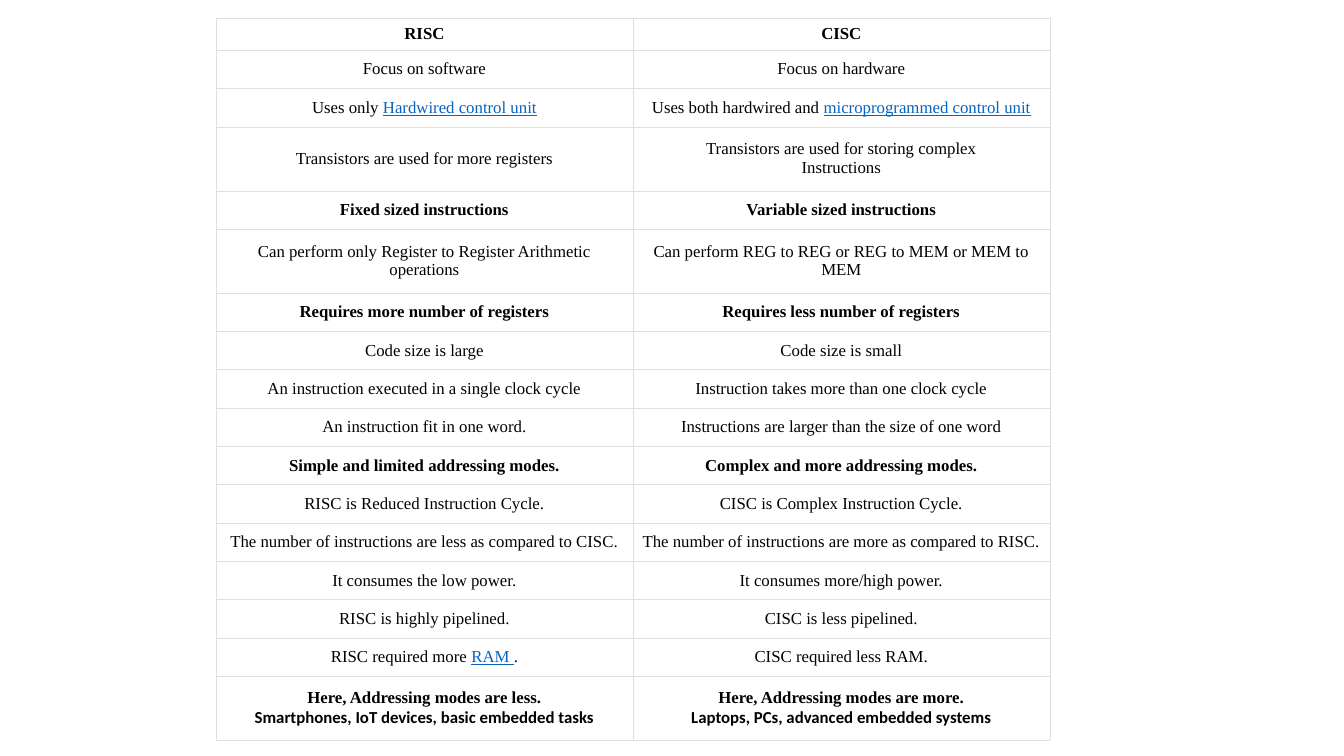
"""Build a slide with a table that compares RISC and CISC."""
from dataclasses import dataclass

from lxml.etree import SubElement
from pptx import Presentation
from pptx.dml.color import RGBColor
from pptx.enum.text import MSO_ANCHOR, PP_ALIGN
from pptx.oxml.ns import qn
from pptx.table import _Cell
from pptx.text.text import _Paragraph
from pptx.util import Pt

MIDDLE = MSO_ANCHOR.MIDDLE
CENTER = PP_ALIGN.CENTER
BLACK = RGBColor(0x00, 0x00, 0x00)
WHITE = RGBColor(0xFF, 0xFF, 0xFF)
BLUE = RGBColor(0x05, 0x63, 0xC1)
GREY = RGBColor(0xDF, 0xDF, 0xDF)
FONTS = ("Times New Roman", "Calibri")
SIZE = Pt(12)
LINE = Pt(0.18)
LEFT, TOP, WIDTH = Pt(154.3), Pt(13.1), Pt(297.8)
HEAD, LOW, TALL = Pt(22.6), Pt(27.4), Pt(45.7)


@dataclass
class Row:
    """Hold one row; brackets mark a link, \\n a paragraph, \\v a line break."""
    risc: str
    cisc: str
    bold: bool = False
    high: int = LOW
    pad: int = Pt(5)


ROWS = [
    Row("RISC", "CISC", True, HEAD, Pt(3.6)),
    Row("Focus on software", "Focus on hardware"),
    Row("Uses only [Hardwired control unit]",
        "Uses both hardwired and [microprogrammed control unit]"),
    Row("Transistors are used for more registers",
        "Transistors are used for storing complex\vInstructions", high=TALL),
    Row("Fixed sized instructions", "Variable sized instructions", True),
    Row("Can perform only Register to Register Arithmetic operations",
        "Can perform REG to REG or REG to MEM or MEM to MEM", high=TALL),
    Row("Requires more number of registers",
        "Requires less number of registers", True),
    Row("Code size is large", "Code size is small"),
    Row("An instruction executed in a single clock cycle",
        "Instruction takes more than one clock cycle"),
    Row("An instruction fit in one word.",
        "Instructions are larger than the size of one word"),
    Row("Simple and limited addressing modes.",
        "Complex and more addressing modes.", True),
    Row("RISC is Reduced Instruction Cycle.",
        "CISC is Complex Instruction Cycle."),
    Row("The number of instructions are less as compared to CISC.",
        "The number of instructions are more as compared to RISC."),
    Row("It consumes the low power.", "It consumes more/high power."),
    Row("RISC is highly pipelined.", "CISC is less pipelined."),
    Row("RISC required more [RAM ].", "CISC required less RAM."),
    Row("Here, Addressing modes are less.\n"
        "Smartphones, IoT devices, basic embedded tasks",
        "Here, Addressing modes are more.\n"
        "Laptops, PCs, advanced embedded systems", True, TALL),
]


def add_run(para: _Paragraph, text: str, font: str, bold: bool, link: bool) -> None:
    """Add one run of text in its format."""
    run = para.add_run()
    run.text = text
    look = {"name": font, "size": SIZE, "bold": bold, "underline": link}
    for key, value in look.items():
        setattr(run.font, key, value)
    run.font.color.rgb = BLUE if link else BLACK


def add_line(para: _Paragraph, line: str, font: str, bold: bool) -> None:
    """Add one line, with the bracketed part as a link."""
    start, _, rest = line.partition("[")
    link, _, end = rest.partition("]")
    for text, linked in ((start, False), (link, True), (end, False)):
        if text:
            add_run(para, text, font, bold, linked)


def add_break(para: _Paragraph) -> None:
    """Add a line break as tall as the text."""
    para.add_line_break()
    SubElement(para._p[-1], qn("a:rPr"), sz=str(int(SIZE.pt * 100)))


def add_edges(cell: _Cell) -> None:
    """Draw the four borders of a cell."""
    props = cell._tc.get_or_add_tcPr()
    for spot, side in enumerate("LRTB"):
        edge = SubElement(props, qn(f"a:ln{side}"), w=str(LINE))
        fill = SubElement(edge, qn("a:solidFill"))
        SubElement(fill, qn("a:srgbClr"), val=str(GREY))
        props.insert(spot, edge)


def fill_cell(cell: _Cell, text: str, row: Row) -> None:
    """Set the format and text of a cell."""
    look = {
        "vertical_anchor": MIDDLE,
        "margin_left": Pt(3.6),
        "margin_right": Pt(3.6),
        "margin_top": row.pad,
        "margin_bottom": row.pad,
    }
    for key, value in look.items():
        setattr(cell, key, value)
    cell.fill.solid()
    cell.fill.fore_color.rgb = WHITE
    add_edges(cell)
    frame = cell.text_frame
    for spot, (part, font) in enumerate(zip(text.split("\n"), FONTS)):
        para = frame.add_paragraph() if spot else frame.paragraphs[0]
        para.alignment = CENTER
        for count, line in enumerate(part.split("\v")):
            if count:
                add_break(para)
            add_line(para, line, font, row.bold)


def main() -> None:
    """Build and save the slide."""
    deck = Presentation()
    deck.slide_width, deck.slide_height = Pt(960), Pt(540)
    slide = deck.slides.add_slide(deck.slide_layouts[6])
    high = sum(row.high for row in ROWS)
    table = slide.shapes.add_table(len(ROWS), 2, LEFT, TOP, 2 * WIDTH, high).table
    table.first_row = table.horz_banding = False
    for column in table.columns:
        column.width = WIDTH
    for spot, row in enumerate(ROWS):
        table.rows[spot].height = row.high
        for side, text in enumerate((row.risc, row.cisc)):
            fill_cell(table.cell(spot, side), text, row)
    deck.save("out.pptx")


if __name__ == "__main__":
    main()
